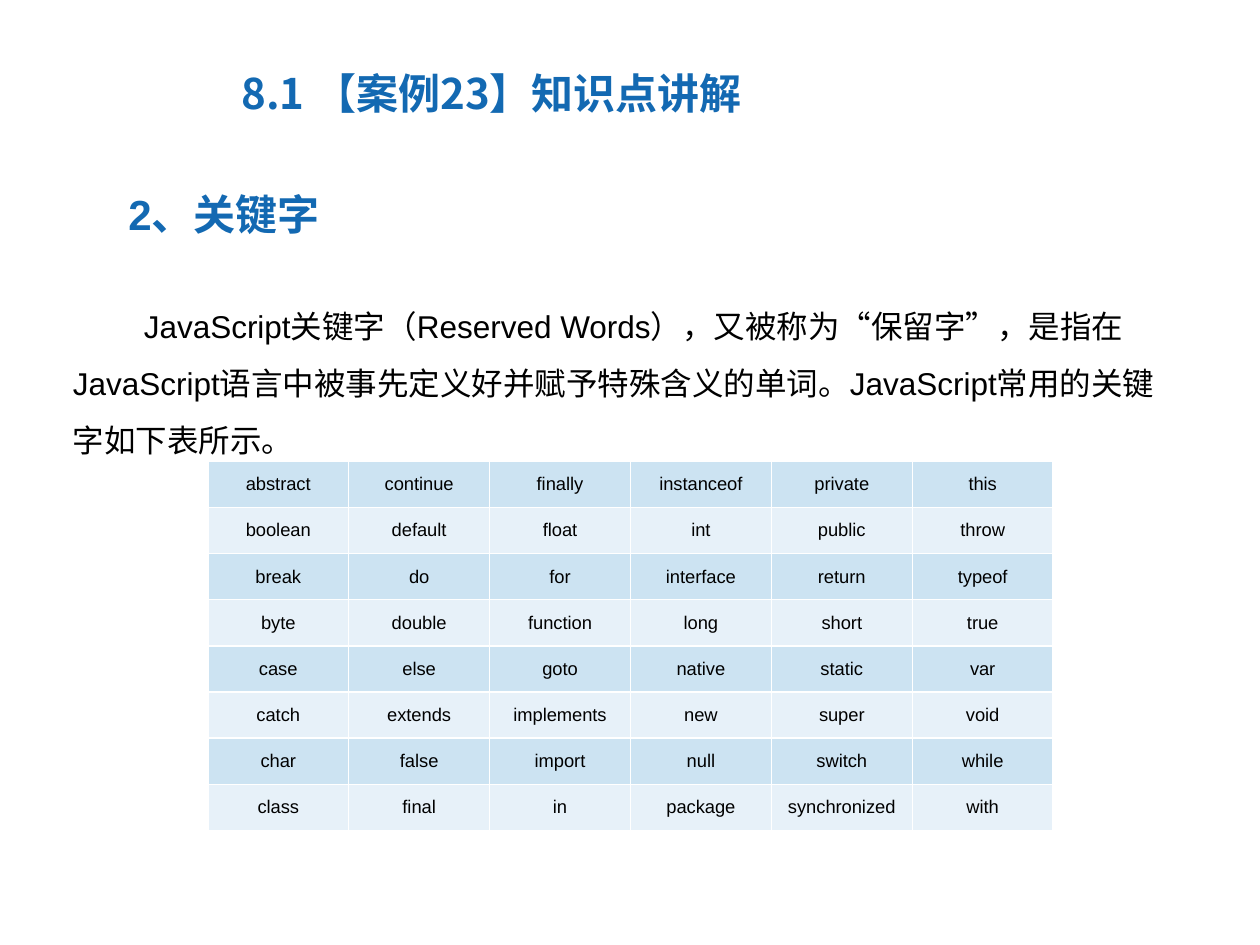
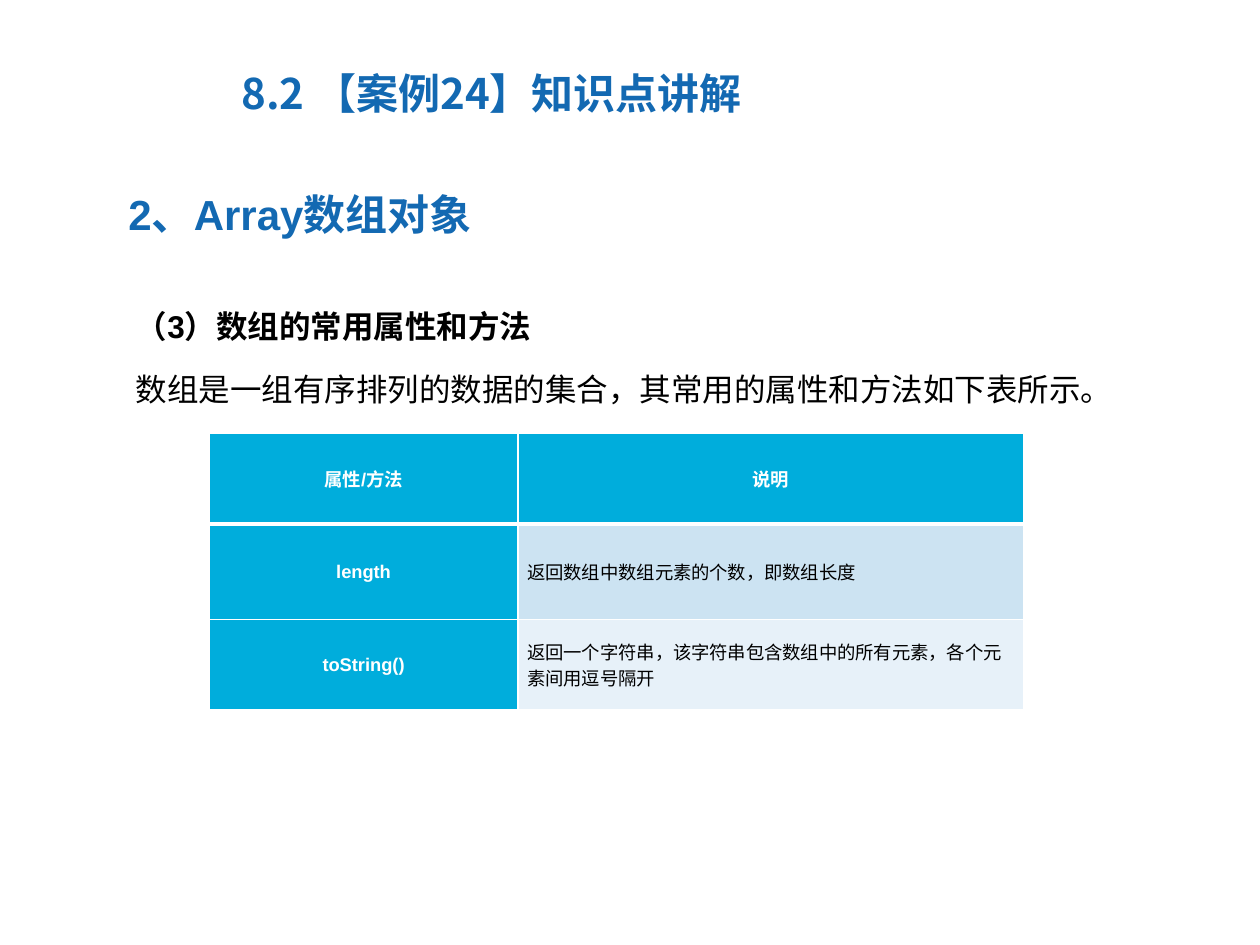
from lxml.etree import SubElement as Sub
from pptx import Presentation
from pptx.dml.color import RGBColor as RGB
from pptx.enum.text import MSO_ANCHOR as Anchor, PP_ALIGN as Align
from pptx.oxml.ns import qn
from pptx.util import Cm, Pt

# Content
WORDS = [
    "abstract boolean break byte case catch char class",
    "continue default do double else extends false final",
    "finally float for function goto implements import in",
    "instanceof int interface long native new null package",
    "private public return short static super switch synchronized",
    "this throw typeof true var void while with",
]
PAGES = [
    {
        "title": "8.1 【案例23】知识点讲解",
        "head": "2、关键字",
        "body": [("JavaScript关键字（Reserved Words），又被称为“保留字”，是指在"
                  "JavaScript语言中被事先定义好并赋予特殊含义的单词。"
                  "JavaScript常用的关键字如下表所示。", False)],
        "indent": 1.43,
        "deep": 10.69,
        "cells": list(zip(*(col.split() for col in WORDS))),
        "at": (4.19, 9.3),
        "cols": [2.84] * 6,
        "rows": [0.93] * 8,
        "keyed": False,
    },
    {
        "title": "8.2 【案例24】知识点讲解",
        "head": "2、Array数组对象",
        "body": [("（3）数组的常用属性和方法", True),
                 ("数组是一组有序排列的数据的集合，其常用的属性和方法如下表所示。", False)],
        "indent": 1.27,
        "deep": 4.14,
        "cells": [
            ("属性/方法", "说明"),
            ("length", "返回数组中数组元素的个数，即数组长度"),
            ("toString()", "返回一个字符串，该字符串包含数组中的所有元素，各个元素间用逗号隔开"),
        ],
        "at": (4.22, 8.74),
        "cols": [6.22, 10.19],
        "rows": [1.82, 1.93, 1.82],
        "keyed": True,
    },
]

# Shared look
BLUE = RGB(0x13, 0x69, 0xB2)
CYAN = RGB(0x00, 0xAD, 0xDC)
BANDS = RGB(0xCC, 0xE3, 0xF2), RGB(0xE7, 0xF1, 0xF9)
BLACK = RGB(0, 0, 0)
WHITE = RGB(255, 255, 255)
HAN = "Noto Sans CJK SC"
TITLE = {"name": HAN, "size": Pt(24), "bold": True}
HEAD = {"name": "Arial", "size": Pt(24), "bold": True}
BODY = {"name": "Arial", "size": Pt(18)}
CELL = {"name": "Arial", "size": Pt(10.5)}
LEAD = {"line_spacing": 1.5, "space_before": Pt(3.6)}
INSET = {"margin_left": Cm(0.19), "margin_right": Cm(0.19), "margin_top": 0,
         "margin_bottom": 0, "vertical_anchor": Anchor.MIDDLE}


def apply(obj, look):
    for key, val in look.items():
        setattr(obj, key, val)


def write(para, text, look, color):
    run = para.add_run()
    run.text = text
    apply(run.font, look)
    run.font.color.rgb = color
    Sub(run.font._element, qn("a:ea"), typeface=HAN)


def add_text(slide, area, lines, look, color, indent=0, lead=None):
    """Write (text, bold) lines in a wrapped box with a first-line indent."""
    frame = slide.shapes.add_textbox(*map(Cm, area)).text_frame
    frame.word_wrap = True
    for i, (text, bold) in enumerate(lines):
        para = frame.add_paragraph() if i else frame.paragraphs[0]
        apply(para, lead or {})
        para._p.get_or_add_pPr().set("indent", str(Cm(indent)))
        write(para, text, {**look, "bold": bold}, color)


def edge(cell, side, width):
    line = Sub(cell._tc.get_or_add_tcPr(), qn("a:ln" + side), w=str(Pt(width)))
    fill = Sub(line, qn("a:solidFill"))
    Sub(fill, qn("a:srgbClr"), val=str(WHITE))


def add_grid(slide, page):
    cols, rows, keyed = page["cols"], page["rows"], page["keyed"]
    area = (*page["at"], sum(cols), sum(rows))
    table = slide.shapes.add_table(len(rows), len(cols), *map(Cm, area)).table
    table.first_row = table.horz_banding = False
    for col, wide in zip(table.columns, cols):
        col.width = Cm(wide)
    for r, (row, high) in enumerate(zip(table.rows, rows)):
        row.height = Cm(high)
        for c, cell in enumerate(row.cells):
            key = keyed and (r == 0 or c == 0)
            apply(cell, INSET)
            # Borders come before the fill; the header row has a thick rule
            for side in "LRTB":
                thick = keyed and (r, side) in ((0, "B"), (1, "T"))
                edge(cell, side, 3 if thick else 1)
            cell.fill.solid()
            cell.fill.fore_color.rgb = CYAN if key else BANDS[(r - keyed) % 2]
            para = cell.text_frame.paragraphs[0]
            para.alignment = Align.CENTER if key or not keyed else Align.LEFT
            write(para, page["cells"][r][c], {**CELL, "bold": key},
                  WHITE if key else BLACK)


def main():
    deck = Presentation()
    deck.slide_width, deck.slide_height = Cm(25.4), Cm(19.05)
    for page in PAGES:
        slide = deck.slides.add_slide(deck.slide_layouts[6])
        add_text(slide, (4.62, 1.24, 20.5, 2.01), [(page["title"], True)], TITLE, BLUE)
        add_text(slide, (1.22, 5.69, 22.86, page["deep"]), page["body"], BODY, BLACK,
                 page["indent"], LEAD)
        add_text(slide, (1.07, 3.68, 21.23, 1.27), [(page["head"], True)], HEAD, BLUE, 1.27)
        add_grid(slide, page)
    deck.save("out.pptx")


if __name__ == "__main__":
    main()
